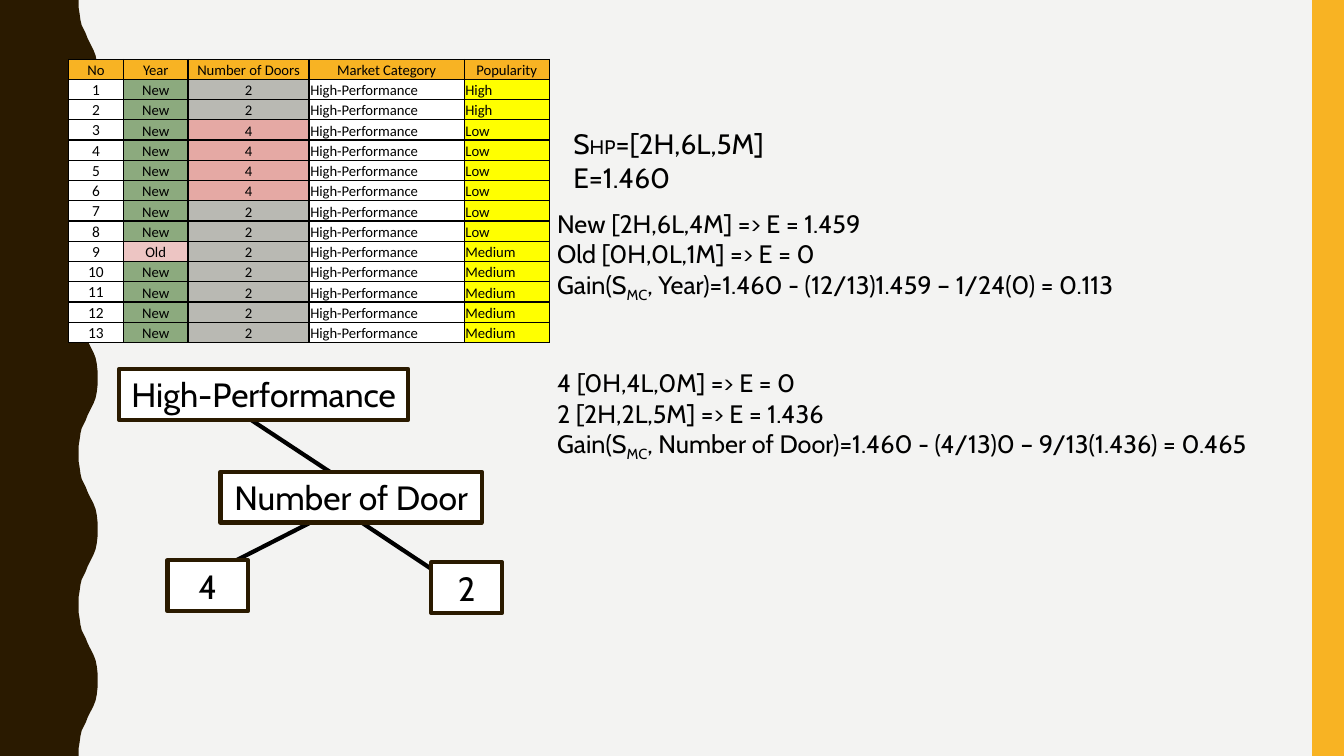
from pptx import Presentation
from pptx.util import Cm, Pt
from pptx.dml.color import RGBColor
from pptx.enum.shapes import MSO_SHAPE, MSO_CONNECTOR
from pptx.enum.text import PP_ALIGN, MSO_ANCHOR
from pptx.oxml.ns import qn
from lxml.etree import SubElement

BLACK = RGBColor(0x00, 0x00, 0x00)
WHITE = RGBColor(0xFF, 0xFF, 0xFF)
PAPER = RGBColor(0xF3, 0xF3, 0xF2)
BROWN = RGBColor(0x2A, 0x1A, 0x00)
AMBER = RGBColor(0xF8, 0xB3, 0x23)
GREEN = RGBColor(0x8C, 0xAA, 0x7E)
PINK = RGBColor(0xED, 0xC5, 0xC3)
GREY = RGBColor(0xB9, 0xB9, 0xB3)
RED = RGBColor(0xE5, 0xA9, 0xA4)
YELLOW = RGBColor(0xFF, 0xFF, 0x00)

HEADER = ["No", "Year", "Number of Doors", "Market Category", "Popularity"]
YEARS = ["New"] * 8 + ["Old"] + ["New"] * 4
DOORS = ["2"] * 2 + ["4"] * 4 + ["2"] * 7
POPULARITY = ["High"] * 2 + ["Low"] * 6 + ["Medium"] * 5
CARS = [(str(i), y, d, "High-Performance", pop)
        for i, (y, d, pop) in enumerate(zip(YEARS, DOORS, POPULARITY), 1)]
COL_WIDTHS = [1.38, 1.63, 3.05, 3.91, 2.14]
COL_FILLS = [WHITE, GREEN, GREY, WHITE, YELLOW]
SPECIAL_FILLS = {(1, "Old"): PINK, (2, "4"): RED}

ENTROPY = [[("S", {}), ("HP", {"size": Pt(14)}), ("=[2H,6L,5M]", {})],
           [("E=1.460", {})]]
GAINS = [
    ["New [2H,6L,4M] => E = 1.459",
     "Old [0H,0L,1M] => E = 0",
     ", Year)=1.460 - (12/13)1.459 – 1/24(0) = 0.113"],
    ["4 [0H,4L,0M] => E = 0",
     "2 [2H,2L,5M] => E = 1.436",
     ", Number of Door)=1.460 - (4/13)0 – 9/13(1.436) = 0.465"],
]
NODES = [("High-Performance", 3.0, 9.3, 7.29), ("Number of Door", 5.56, 11.89, 6.58),
         ("2", 10.87, 14.17, 1.78), ("4", 4.22, 14.12, 2.03)]
BRANCHES = [(8.41, 12.7, 11.81, 14.96), (8.74, 12.7, 5.11, 14.55), (5.84, 10.26, 9.27, 12.52)]
HALF_WAVE = [(1.98, 0), (1.98, 0.18), (2.01, 0.36), (2.03, 0.51), (2.06, 0.64),
             (2.11, 0.74), (2.16, 0.84), (2.21, 0.97), (2.26, 1.07), (2.31, 1.17),
             (2.36, 1.27), (2.41, 1.4), (2.44, 1.55), (2.46, 1.73), (2.46, 1.9)]
PERIOD = 3.81
HEIGHT = 19.05


def add_run(p, text, size, font="Cabin", **formats):
    r = p.add_run()
    r.text = text
    for name, value in {"size": size, "name": font, **formats}.items():
        setattr(r.font, name, value)
    r.font.color.rgb = BLACK
    return r


def add_text(left, top, width, height, wrap):
    tf = s.shapes.add_textbox(Cm(left), Cm(top), Cm(width), Cm(height)).text_frame
    tf.word_wrap = wrap
    return tf


def next_paragraph(tf, first):
    return tf.paragraphs[0] if first else tf.add_paragraph()


def paint(sp, fill):
    sp.shadow.inherit = False
    sp.fill.solid()
    sp.fill.fore_color.rgb = fill
    sp.line.fill.background()


def fill_cell(cell, text, fill, size, centred, anchor):
    for side, margin in {"left": 0.03, "right": 0.03, "top": 0.03, "bottom": 0}.items():
        setattr(cell, "margin_" + side, Cm(margin))
    cell.vertical_anchor = anchor
    p = cell.text_frame.paragraphs[0]
    p.alignment = PP_ALIGN.CENTER if centred else PP_ALIGN.LEFT
    add_run(p, text, size, "Calibri")
    tcPr = cell._tc.get_or_add_tcPr()
    for edge in ("a:lnL", "a:lnR", "a:lnT", "a:lnB"):
        ln = SubElement(tcPr, qn(edge), w=str(Pt(1)))
        SubElement(SubElement(ln, qn("a:solidFill")), qn("a:srgbClr"), val=str(BLACK))
    cell.fill.solid()
    cell.fill.fore_color.rgb = fill


prs = Presentation()
prs.slide_width, prs.slide_height = Cm(33.87), Cm(HEIGHT)
s = prs.slides.add_slide(prs.slide_layouts[6])
s.background.fill.solid()
s.background.fill.fore_color.rgb = PAPER

wave = HALF_WAVE + [(x, PERIOD - y) for x, y in HALF_WAVE[-2::-1]]
edge = [(Cm(x), Cm(y + i * PERIOD)) for i in range(5) for x, y in wave]
builder = s.shapes.build_freeform(0, 0)
builder.add_line_segments(edge + [(0, Cm(HEIGHT))], close=True)
paint(builder.convert_to_shape(), BROWN)
paint(s.shapes.add_shape(MSO_SHAPE.RECTANGLE, Cm(33.07), 0, Cm(0.8), Cm(HEIGHT)), AMBER)

for ends in BRANCHES:
    branch = s.shapes.add_connector(MSO_CONNECTOR.STRAIGHT, *map(Cm, ends))
    branch.line.color.rgb = BLACK
    branch.line.width = Pt(3)
    SubElement(branch._element.spPr, qn("a:effectLst"))

rows = [HEADER] + CARS
table = s.shapes.add_table(len(rows), len(HEADER), Cm(1.73), Cm(1.5),
                           Cm(sum(COL_WIDTHS)), Cm(0.5 * len(rows))).table
table.first_row = table.horz_banding = False
for col, width in zip(table.columns, COL_WIDTHS):
    col.width = Cm(width)
for i, row in enumerate(rows):
    table.rows[i].height = Cm(0.5)
    for j, text in enumerate(row):
        number = i > 0 and j == 0
        fill = SPECIAL_FILLS.get((j, text), COL_FILLS[j]) if i else AMBER
        fill_cell(table.cell(i, j), text, fill, Pt(11 if number else 10.5),
                  i == 0 or j < 3, MSO_ANCHOR.MIDDLE if number else MSO_ANCHOR.BOTTOM)

tf = add_text(13.79, 5.13, 18.8, 6.4, True)
for i, (*entropies, gain) in enumerate(GAINS):
    for j, text in enumerate(entropies):
        p = next_paragraph(tf, i + j == 0)
        if i and j == 0:
            p.space_before = Pt(46)
        add_run(p, text, Pt(18))
    p = tf.add_paragraph()
    add_run(p, "Gain(S", Pt(18))
    add_run(p, "MC", Pt(18))._r.get_or_add_rPr().set("baseline", "-25000")
    add_run(p, gain, Pt(18))

tf = add_text(14.2, 3.07, 5.56, 1.96, False)
for i, runs in enumerate(ENTROPY):
    p = next_paragraph(tf, i == 0)
    for text, formats in runs:
        add_run(p, text, **{"size": Pt(20), **formats})

for text, left, top, width in NODES:
    node = s.shapes.add_shape(MSO_SHAPE.RECTANGLE, Cm(left), Cm(top), Cm(width), Cm(1.28))
    paint(node, WHITE)
    node.line.color.rgb = BROWN
    node.line.width = Pt(3)
    tf = node.text_frame
    tf.word_wrap = False
    tf.vertical_anchor = MSO_ANCHOR.MIDDLE
    p = tf.paragraphs[0]
    p.alignment = PP_ALIGN.CENTER
    add_run(p, text, Pt(24))

prs.save("out.pptx")
